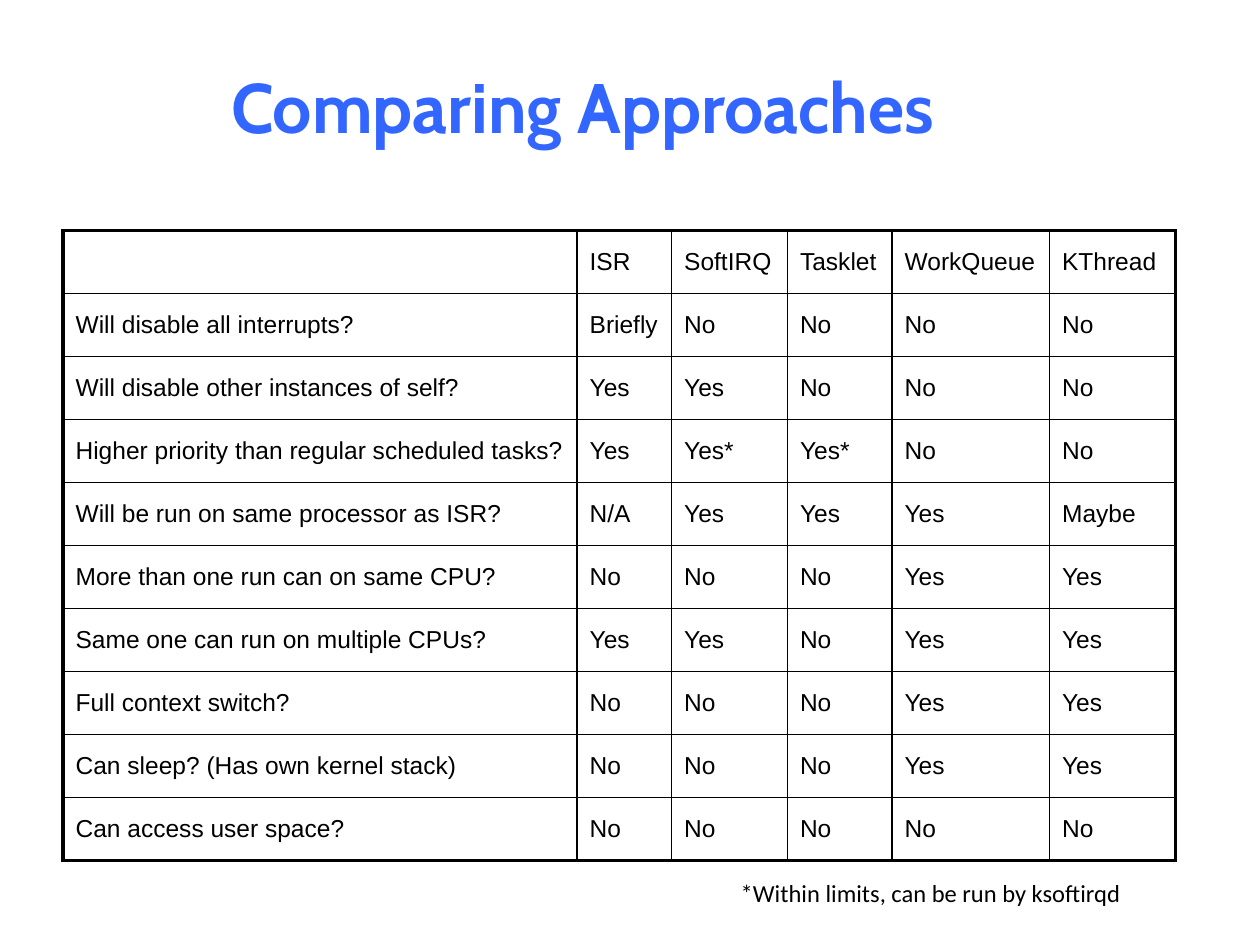
from lxml import etree
from pptx import Presentation
from pptx.dml.color import RGBColor
from pptx.enum import text
from pptx.oxml import ns
from pptx.util import Inches, Pt

BLUE = RGBColor(0x33, 0x66, 0xFF)
BLACK = RGBColor(0, 0, 0)

ROWS = [
    ["", "ISR", "SoftIRQ", "Tasklet", "WorkQueue", "KThread"],
    ["Will disable all interrupts?", "Briefly", "No", "No", "No", "No"],
    ["Will disable other instances of self?", "Yes", "Yes", "No", "No", "No"],
    ["Higher priority than regular scheduled tasks?", "Yes", "Yes*", "Yes*", "No", "No"],
    ["Will be run on same processor as ISR?", "N/A", "Yes", "Yes", "Yes", "Maybe"],
    ["More than one run can on same CPU?", "No", "No", "No", "Yes", "Yes"],
    ["Same one can run on multiple CPUs?", "Yes", "Yes", "No", "Yes", "Yes"],
    ["Full context switch?", "No", "No", "No", "Yes", "Yes"],
    ["Can sleep? (Has own kernel stack)", "No", "No", "No", "Yes", "Yes"],
    ["Can access user space?", "No", "No", "No", "No", "No"],
]
COL_WIDTHS = [4.08, 0.75, 0.92, 0.83, 1.25, 1]
ROW_HEIGHT = 0.5


def add_run(p, words, font, size, color, bold=False):
    r = p.add_run()
    r.text = words
    r.font.name = font
    r.font.size = Pt(size)
    r.font.bold = bold
    r.font.color.rgb = color


def add_border(cell, side, width):
    ln = etree.SubElement(cell._tc.get_or_add_tcPr(), ns.qn("a:ln" + side), w=str(Pt(width)))
    fill = etree.SubElement(ln, ns.qn("a:solidFill"))
    etree.SubElement(fill, ns.qn("a:srgbClr"), val=str(BLACK))


prs = Presentation()
prs.slide_width = Inches(10)
prs.slide_height = Inches(7.5)
s = prs.slides.add_slide(prs.slide_layouts[5])

title = s.shapes.title
title.left, title.top = Inches(0.5), Inches(0.13)
title.width, title.height = Inches(8.25), Inches(1.42)
tf = title.text_frame
tf.vertical_anchor = text.MSO_ANCHOR.MIDDLE
p = tf.paragraphs[0]
p.alignment = text.PP_ALIGN.CENTER
add_run(p, "Comparing Approaches", "Cabin", 40, BLUE, True)

last_row, last_col = len(ROWS) - 1, len(COL_WIDTHS) - 1
table = s.shapes.add_table(len(ROWS), len(COL_WIDTHS), Inches(0.5), Inches(1.83),
                           Inches(sum(COL_WIDTHS)), Inches(ROW_HEIGHT * len(ROWS))).table
table.first_row = False
table.horz_banding = False
for column, width in zip(table.columns, COL_WIDTHS):
    column.width = Inches(width)

for i, row in enumerate(ROWS):
    table.rows[i].height = Inches(ROW_HEIGHT)
    for j, words in enumerate(row):
        cell = table.cell(i, j)
        cell.vertical_anchor = text.MSO_ANCHOR.MIDDLE
        if words:
            add_run(cell.text_frame.paragraphs[0], words, "Arial", 14, BLACK)
        outer = {"L": j == 0, "R": j == last_col, "T": i == 0, "B": i == last_row}
        for side, is_outer in outer.items():
            add_border(cell, side, 2.25 if is_outer else 1)
        cell.fill.background()

note = s.shapes.add_textbox(Inches(5.78), Inches(6.92), Inches(3.38), Inches(0.33))
tf = note.text_frame
tf.word_wrap = False
tf.auto_size = text.MSO_AUTO_SIZE.SHAPE_TO_FIT_TEXT
add_run(tf.paragraphs[0], "*Within limits, can be run by ksoftirqd", "Calibri", 14, BLACK)

prs.save("out.pptx")
